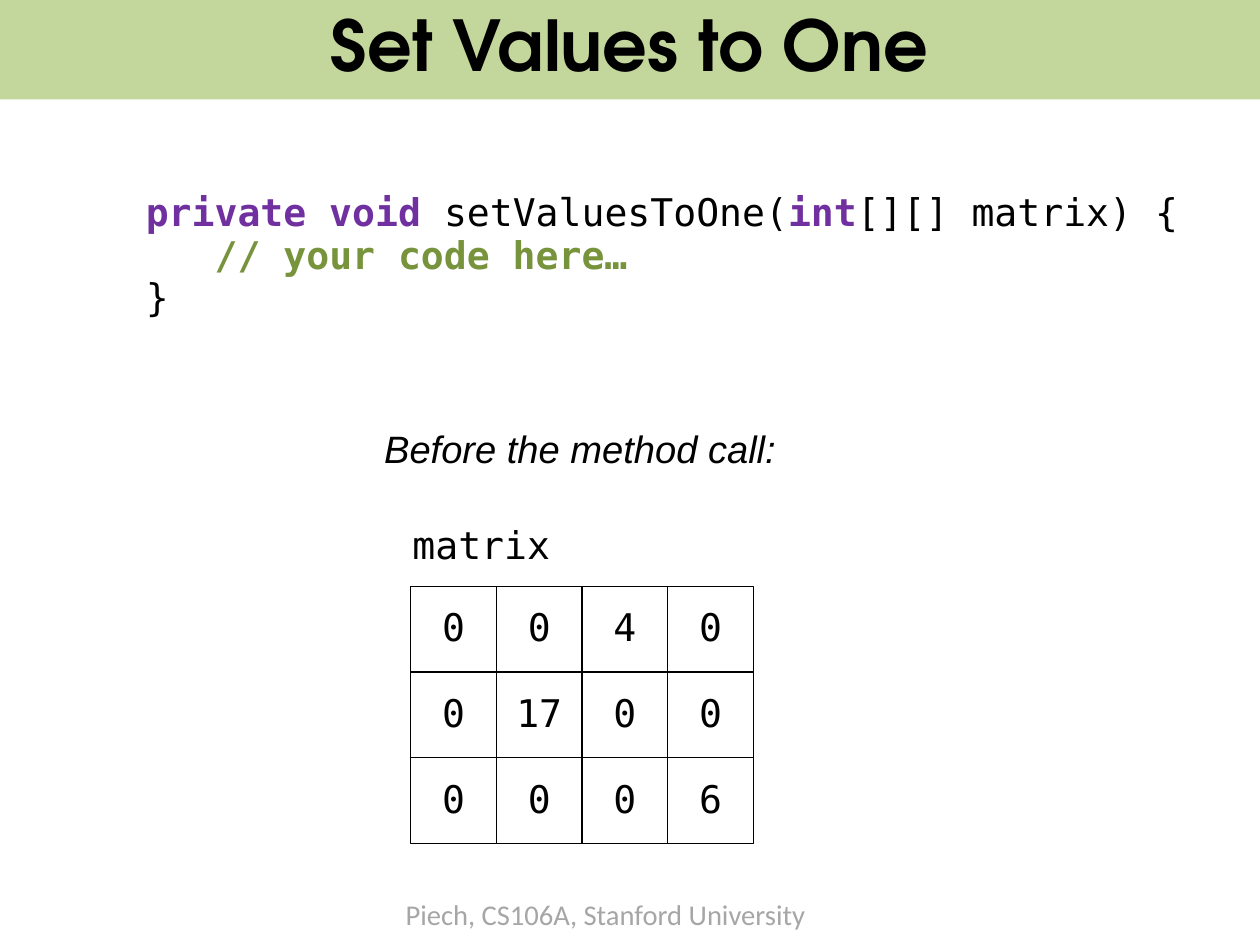
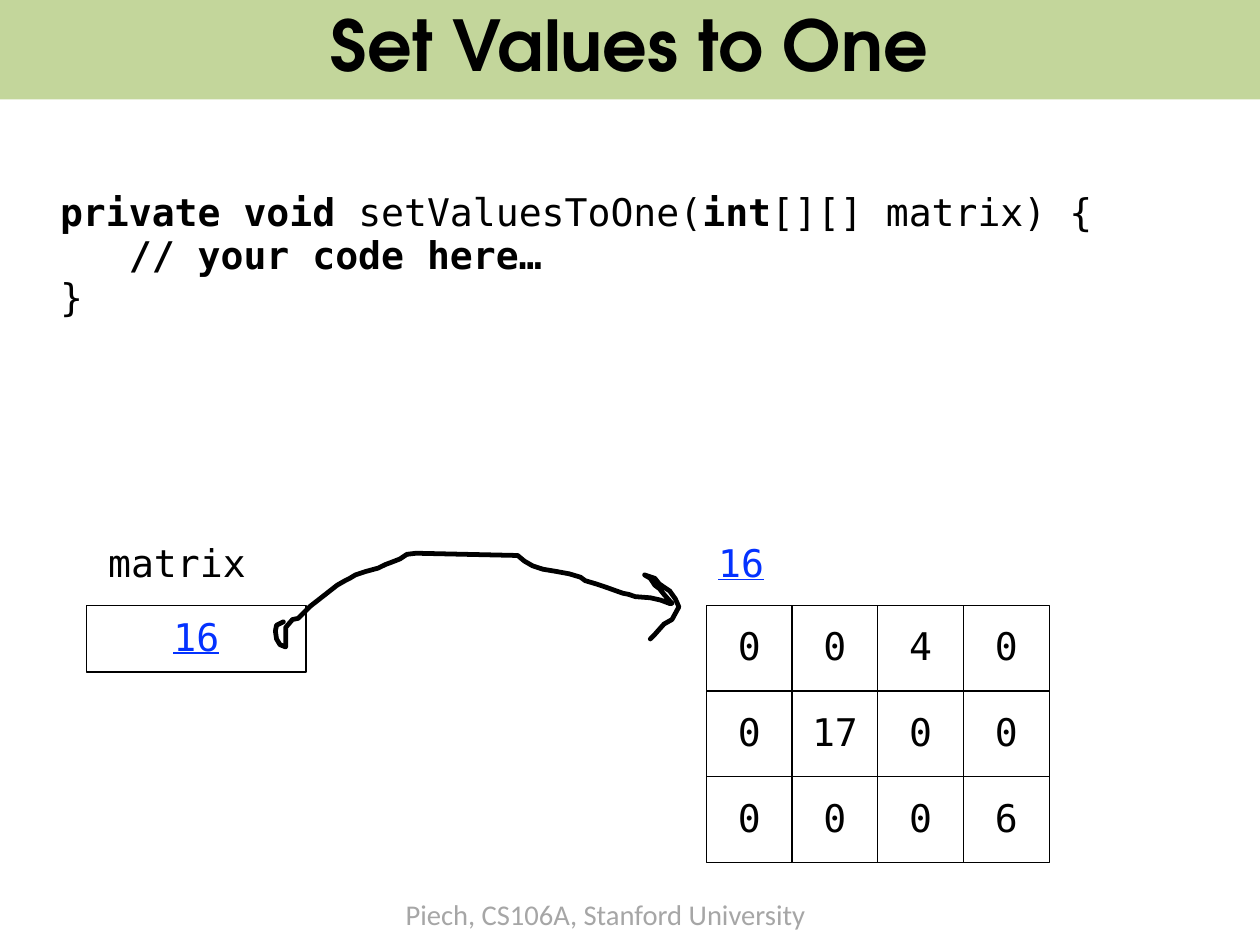
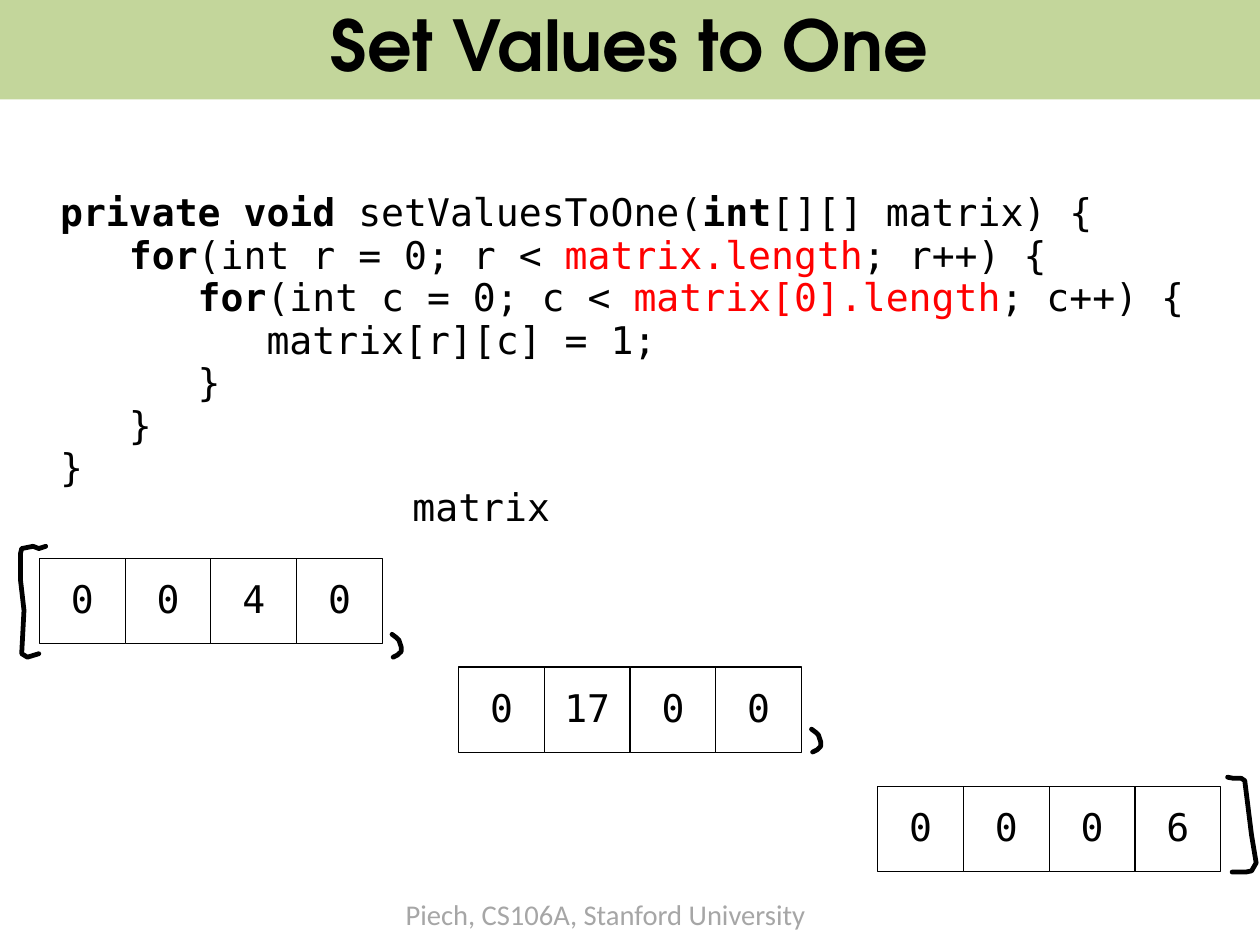
import dataclasses
import typing

import pptx
import pptx.dml.color
import pptx.enum.shapes
import pptx.enum.text
import pptx.util

WIDTH, HEIGHT = 28, 21
CELL = 0.75
LEAD = 0.93
PEN = 9144.0

HUES = {
    "band": "C3D69B",
    "ink": "000000",
    "paper": "FFFFFF",
    "foot": "A6A6A6",
    "key": "7030A0",
    "note": "77933C",
    "link": "0432FF",
    "hot": "FF0000",
}
MONO = "DejaVu Sans Mono"
ALIGN = pptx.enum.text.PP_ALIGN
ANCHOR = pptx.enum.text.MSO_ANCHOR
FIT = pptx.enum.text.MSO_AUTO_SIZE
RECT = pptx.enum.shapes.MSO_SHAPE.RECTANGLE


@dataclasses.dataclass(frozen=True)
class Box:
    col: float
    row: float
    cols: float = 1
    rows: float = 1

    def place(self) -> list[int]:
        return [grid(n) for n in (self.col, self.row, self.cols, self.rows)]


@dataclasses.dataclass(frozen=True)
class Face:
    font: str = MONO
    size: float = 24
    hue: str = "ink"
    bold: bool = False
    slant: bool = False
    under: bool = False


@dataclasses.dataclass(frozen=True)
class Bit:
    text: str
    face: Face = Face()


Line = list[Bit]
Spot = tuple[int, int]

PLAIN = Face()
BOLD = Face(bold=True)
LINK = Face(hue="link", under=True)
HOT = Face(hue="hot")
TITLE = Face("TeX Gyre Adventor", 44.1, bold=True)
FOOT = Face("Calibri", 18, "foot")
SAY = Face("Arial", slant=True)

MATRIX = [["0", "0", "4", "0"], ["0", "17", "0", "0"], ["0", "0", "0", "6"]]

ARROW = [
    (248, 544), (242, 547), (241, 552), (242, 559), (245, 564), (250, 566),
    (250, 556), (250, 549), (256, 542), (261, 541), (272, 530), (281, 523),
    (295, 512), (302, 508), (306, 506), (311, 503), (320, 500), (331, 497),
    (337, 494), (345, 491), (350, 489), (356, 485), (364, 484), (453, 486),
    (459, 491), (466, 495), (475, 498), (487, 500), (498, 502), (508, 505),
    (512, 508), (522, 511), (531, 514), (545, 519), (550, 520), (556, 522),
    (569, 523), (578, 525), (586, 528), (588, 528), (581, 520), (577, 515),
    (573, 512), (569, 506), (564, 503), (573, 506), (577, 511), (586, 517),
    (591, 524), (594, 531), (588, 542), (581, 546), (573, 555), (569, 559),
]
OPEN = [
    (40, 478), (34, 480), (29, 478), (19, 480), (18, 484), (18, 508),
    (21, 534), (19, 572), (24, 575), (34, 572),
]
CLOSE = [
    (1074, 680), (1079, 681), (1086, 681), (1089, 683), (1095, 731),
    (1099, 755), (1095, 762), (1090, 763), (1078, 763),
]
COMMA = [(0, 0), (4, 3), (6, 5), (8, 11), (8, 15), (5, 18), (1, 20)]


def grid(count: float) -> int:
    return pptx.util.Inches(CELL * count)


def hue(name: str) -> pptx.dml.color.RGBColor:
    return pptx.dml.color.RGBColor.from_string(HUES[name])


def style(run: typing.Any, face: Face) -> None:
    font = run.font
    font.name, font.size = face.font, pptx.util.Pt(face.size)
    font.bold, font.italic, font.underline = face.bold, face.slant, face.under
    font.color.rgb = hue(face.hue)


def write(frame: typing.Any, text: str, face: Face, align: typing.Any) -> None:
    frame.text = text
    para = frame.paragraphs[0]
    para.alignment, para.line_spacing = align, LEAD
    style(para.runs[0], face)


def label(slide: typing.Any, box: Box, text: str, face: Face = PLAIN,
          align: typing.Any = ALIGN.LEFT) -> typing.Any:
    shape = slide.shapes.add_textbox(*box.place())
    frame = shape.text_frame
    frame.word_wrap, frame.auto_size = False, FIT.SHAPE_TO_FIT_TEXT
    write(frame, text, face, align)
    return shape


def code(slide: typing.Any, box: Box, lines: list[Line]) -> None:
    frame = slide.shapes.add_textbox(*box.place()).text_frame
    frame.word_wrap, frame.auto_size = False, FIT.SHAPE_TO_FIT_TEXT
    for i, line in enumerate(lines):
        para = frame.add_paragraph() if i else frame.paragraphs[0]
        para.line_spacing = LEAD
        for bit in line:
            run = para.add_run()
            run.text = bit.text
            style(run, bit.face)


def head(key: Face) -> Line:
    return [Bit("private void ", key), Bit("setValuesToOne("),
            Bit("int", key), Bit("[][] matrix) {")]


def stub(key: Face, note: Face) -> list[Line]:
    return [head(key), [Bit("   "), Bit("// your code here…", note)],
            [Bit("}")]]


def loop(pad: str, name: str, bound: str) -> Line:
    return [Bit(pad), Bit("for", BOLD), Bit(f"(int {name} = 0; {name} < "),
            Bit(bound, HOT), Bit(f"; {name}++) {{")]


def cell(shapes: typing.Any, box: Box, text: str, face: Face = PLAIN) -> None:
    shape = shapes.add_shape(RECT, *box.place())
    shape.shadow.inherit = False
    shape.fill.solid()
    shape.fill.fore_color.rgb = hue("paper")
    shape.line.color.rgb = hue("ink")
    shape.line.width = pptx.util.Pt(0.75)
    shape.text_frame.vertical_anchor = ANCHOR.MIDDLE
    write(shape.text_frame, text, face, ALIGN.CENTER)


def cells(shapes: typing.Any, col: float, row: float,
          values: list[list[str]]) -> None:
    for r, line in enumerate(values):
        for c, text in enumerate(line):
            cell(shapes, Box(col + c, row + r), text)


def draw(slide: typing.Any, spots: list[Spot], dx: int = 0,
         dy: int = 0) -> None:
    first, *rest = [(x + dx, y + dy) for x, y in spots]
    pen = slide.shapes.build_freeform(*first, scale=PEN)
    pen.add_line_segments(rest, close=False)
    shape = pen.convert_to_shape()
    shape.shadow.inherit = False
    shape.fill.background()
    shape.line.color.rgb = hue("ink")
    shape.line.width = pptx.util.Pt(3)
    shape.line._get_or_add_ln().set("cap", "rnd")


def start(deck: typing.Any) -> typing.Any:
    slide = deck.slides.add_slide(deck.slide_layouts[5])
    title = slide.shapes.title
    title.left, title.top = 0, grid(-0.04)
    title.width, title.height = deck.slide_width, grid(1.2)
    title.fill.solid()
    title.fill.fore_color.rgb = hue("band")
    frame = title.text_frame
    frame.auto_size, frame.vertical_anchor = FIT.NONE, ANCHOR.MIDDLE
    frame.margin_left = frame.margin_right = pptx.util.Inches(0.11)
    frame.margin_top = frame.margin_bottom = pptx.util.Inches(0.06)
    write(frame, "Set Values to One", TITLE, ALIGN.CENTER)
    return slide


def share(slide: typing.Any) -> None:
    foot = label(slide, Box(4.6, 10.43, 4.99, 0.51),
                 "Piech, CS106A, Stanford University", FOOT)
    slide.slide_layout.shapes.element.append(foot.element)


def task(slide: typing.Any) -> None:
    code(slide, Box(1.57, 2.18, 12.36, 1.64),
         stub(Face(hue="key", bold=True), Face(hue="note", bold=True)))
    label(slide, Box(4.35, 4.95, 4.88, 0.64), "Before the method call:", SAY)
    label(slide, Box(4.68, 6.06, 1.88, 0.64), "matrix")
    cells(slide.shapes, 4.79, 6.84, MATRIX)


def heap(slide: typing.Any) -> None:
    code(slide, Box(0.57, 2.18, 12.36, 1.64), stub(BOLD, BOLD))
    label(slide, Box(1.13, 6.28, 1.88, 0.64), "matrix")
    cell(slide.shapes, Box(1.01, 7.06, 2.56, 0.78), "16", LINK)
    label(slide, Box(8.24, 6.28, 0.81, 0.64), "16", LINK, ALIGN.CENTER)
    cells(slide.shapes, 8.24, 7.06, MATRIX)
    draw(slide, ARROW)


def solve(slide: typing.Any) -> None:
    code(slide, Box(0.57, 2.18, 13.44, 3.64), [
        head(BOLD),
        loop("   ", "r", "matrix.length"),
        loop("      ", "c", "matrix[0].length"),
        [Bit("         matrix[r][c] = 1;")],
        [Bit("      }")],
        [Bit("   }")],
        [Bit("}")],
    ])
    label(slide, Box(4.68, 5.62, 1.88, 0.64), "matrix")
    for i, (top, row) in enumerate(zip((6.51, 7.78, 9.17), MATRIX)):
        group = slide.shapes.add_group_shape()
        cells(group.shapes, 0.46 + 4.89 * i, top, [row])
    draw(slide, OPEN)
    draw(slide, CLOSE)
    for dx, dy in ((343, 555), (710, 638)):
        draw(slide, COMMA, dx, dy)


def main() -> None:
    deck = pptx.Presentation()
    deck.slide_width = pptx.util.Cm(WIDTH)
    deck.slide_height = pptx.util.Cm(HEIGHT)
    for i, fill in enumerate((task, heap, solve)):
        slide = start(deck)
        if i == 0:
            share(slide)
        fill(slide)
    deck.save("out.pptx")


if __name__ == "__main__":
    main()
